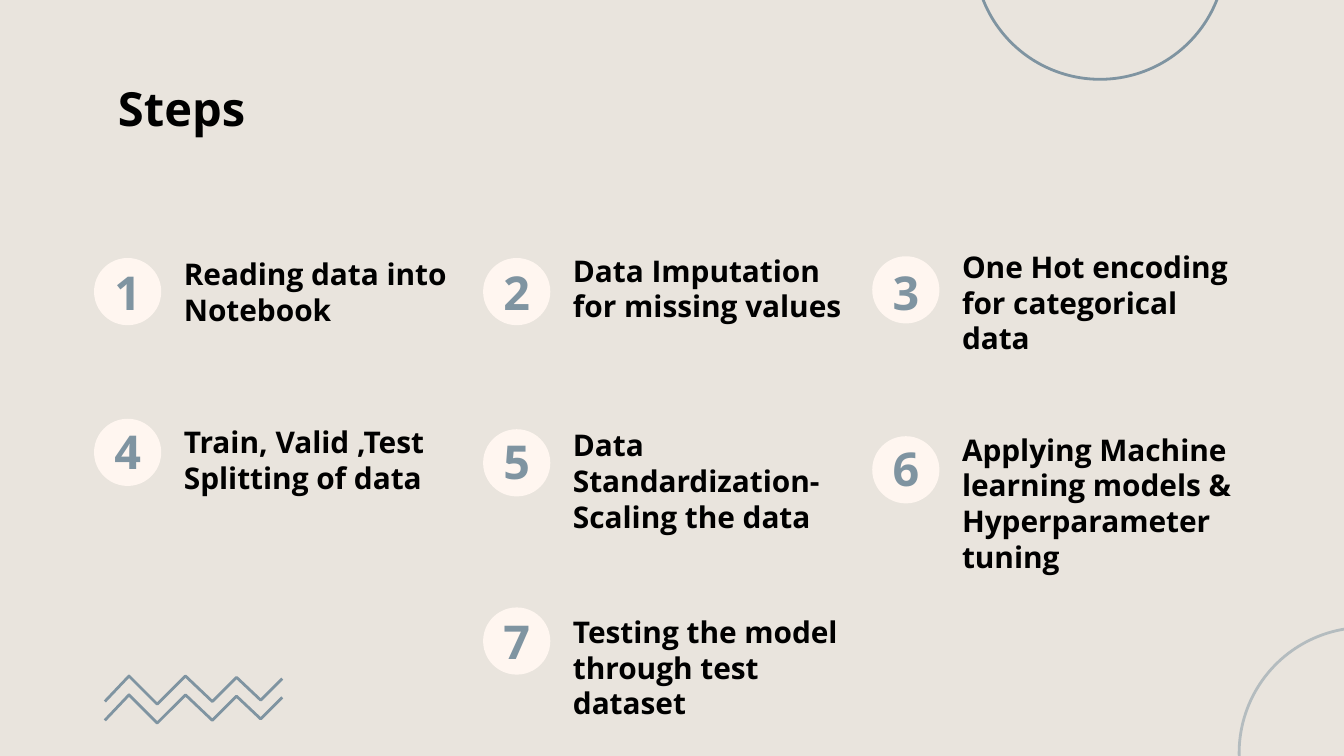
from dataclasses import dataclass

from pptx import Presentation
from pptx.dml.color import RGBColor as Rgb
from pptx.enum.shapes import MSO_SHAPE as Shape
from pptx.enum.text import MSO_ANCHOR as Anchor, PP_ALIGN as Align
from pptx.util import Inches, Pt

WIDE = 10
HIGH = WIDE * 9 / 16
FONT = "Open Sans"
HUES = {"back": "E9E4DD", "disc": "FFF6F0", "blue": "7F94A1",
        "pale": "B4BCBF", "ink": "000000"}

# Step grid: left edge, centre of first row, pitches
LEFT, TOP = 0.7, 2.17
COL, ROW = 5.79 / 2, 1.3
DISC, GAP = 0.5, 0.57
LABEL, LINE = 2.24, 0.33


@dataclass
class Step:
    num: int
    col: int
    row: int
    text: str
    disc: float = 0   # nudges from the row centre, in rows
    mark: float = 0
    label: float = 0


@dataclass
class Ring:
    left: float       # inches from the left edge, as a share of the width
    top: float        # share of the height
    hue: str


STEPS = [
    Step(1, 0, 0, "Reading data into Notebook"),
    Step(2, 1, 0, "Data Imputation for missing values", 0, 0, -0.02),
    Step(3, 2, 0, "One Hot encoding for categorical data", -0.01, 0, 0.06),
    Step(4, 0, 1, "Train, Valid ,Test Splitting of data", -0.08, -0.09, -0.04),
    Step(5, 1, 1, "Data Standardization- Scaling the data",
         -0.02, -0.03, 0.08),
    Step(6, 2, 1, "Applying Machine learning models & Hyperparameter tuning",
         0.02, 0.01, 0.21),
    Step(7, 1, 2, "Testing the model through test dataset", 0, 0, 0.15),
]
RINGS = [Ring(9.22 / WIDE, 0.83, "pale"), Ring(7.25 / WIDE, -1.28 / HIGH, "blue")]
WAVE = [(0.78, 0.19), (0.96, 0), (1.17, 0.21), (1.38, 0),
        (1.58, 0.19), (1.76, 0.01), (1.94, 0.18), (2.1, 0.02)]


def hue(name: str) -> Rgb:
    return Rgb.from_string(HUES[name])


def outline(shape, name: str) -> None:
    shape.shadow.inherit = False
    shape.fill.background()
    shape.line.color.rgb = hue(name)
    shape.line.width = Pt(1.5)


def add_wave(slide, top: float) -> None:
    pts = [(Inches(x), Inches(top + y)) for x, y in WAVE]
    pen = slide.shapes.build_freeform(*pts[0])
    pen.add_line_segments(pts[1:], close=False)
    outline(pen.convert_to_shape(), "blue")


def add_oval(slide, left: float, top: float, size: float):
    oval = slide.shapes.add_shape(Shape.OVAL, Inches(left), Inches(top),
                                  Inches(size), Inches(size))
    oval.shadow.inherit = False
    return oval


def add_text(slide, text: str, left: float, top: float, width: float,
             height: float, size: float, name: str = "ink",
             align=Align.LEFT, anchor=Anchor.MIDDLE) -> None:
    box = slide.shapes.add_textbox(Inches(left), Inches(top),
                                   Inches(width), Inches(height))
    frame = box.text_frame
    frame.word_wrap = True
    frame.vertical_anchor = anchor
    frame.margin_left = frame.margin_right = Inches(0.1)
    frame.margin_top = frame.margin_bottom = Inches(0.1)
    para = frame.paragraphs[0]
    para.alignment = align
    run = para.add_run()
    run.text = text
    font = run.font
    font.name, font.size, font.bold = FONT, Pt(size), True
    font.color.rgb = hue(name)


def add_step(slide, step: Step) -> None:
    left = LEFT + step.col * COL

    def mid(nudge: float) -> float:
        return TOP + (step.row + nudge) * ROW

    disc = add_oval(slide, left, mid(step.disc) - DISC / 2, DISC)
    disc.fill.solid()
    disc.fill.fore_color.rgb = hue("disc")
    disc.line.fill.background()
    add_text(slide, str(step.num), left, mid(step.mark) - LINE / 2,
             DISC, LINE, 25, "blue", Align.CENTER)
    add_text(slide, step.text, left + GAP, mid(step.label) - LINE / 2,
             LABEL, LINE, 16)


def main() -> None:
    deck = Presentation()
    deck.slide_width, deck.slide_height = Inches(WIDE), Inches(HIGH)
    slide = deck.slides.add_slide(deck.slide_layouts[6])
    slide.background.fill.solid()
    slide.background.fill.fore_color.rgb = hue("back")

    # Corner decoration
    for top in (5.03, 5.17):
        add_wave(slide, top)
    for ring in RINGS:
        oval = add_oval(slide, ring.left * WIDE, ring.top * HIGH, 1.87)
        outline(oval, ring.hue)

    # Heading and steps
    add_text(slide, "Steps", 0.78, 0.49, 8.44, 0.63, 25.2, anchor=Anchor.TOP)
    for step in STEPS:
        add_step(slide, step)

    deck.save("out.pptx")


if __name__ == "__main__":
    main()
